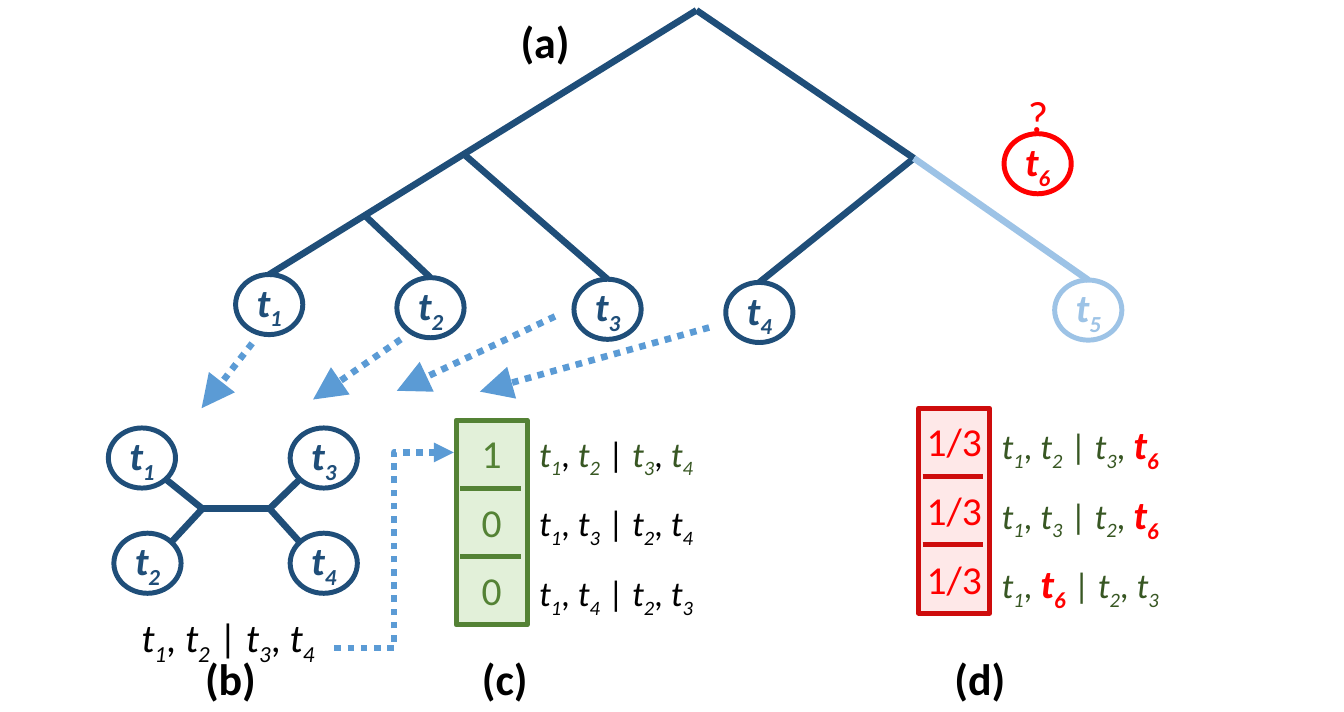
import pptx
import pptx.dml.color
import pptx.enum.dml
import pptx.enum.shapes
import pptx.enum.text
import pptx.util
from lxml import etree

PX = 9144  # 100 px to the inch
NAVY, PALE, BLUE, RED = "1F4E79", "9DC3E6", "5B9BD5", "FF0000"
GREEN, DARK_GREEN, BLACK = "548235", "385723", "000000"
rgb = pptx.dml.color.RGBColor.from_string
A = "{http://schemas.openxmlformats.org/drawingml/2006/main}"
CONNECTOR = pptx.enum.shapes.MSO_CONNECTOR
SHAPE = pptx.enum.shapes.MSO_SHAPE
CENTER = pptx.enum.text.PP_ALIGN.CENTER

prs = pptx.Presentation()
prs.slide_width, prs.slide_height = 1700 * PX, 900 * PX
slide = prs.slides.add_slide(prs.slide_layouts[6])
shapes = slide.shapes


def connect(start, end, colour, width=6, kind=CONNECTOR.STRAIGHT, head=None):
    """Draw a line; a head size makes it a dotted arrow."""
    line = shapes.add_connector(kind, *[v * PX for v in (*start, *end)])
    line.line.color.rgb = rgb(colour)
    line.line.width = pptx.util.Pt(width)
    properties = line._element.spPr
    if head:
        line.line.dash_style = pptx.enum.dml.MSO_LINE.ROUND_DOT
        etree.SubElement(properties.find(A + "ln"), A + "tailEnd",
                         type="triangle", w=head, len=head)
    etree.SubElement(properties, A + "effectLst")
    return line


def write_taxa(frame, text, size, colour, separator, bold=False):
    """Write italic taxa with subscript numbers; t6 stands out in a split."""
    for part in text.split("t")[1:]:
        newcomer = part[0] == "6" and not bold
        for piece in filter(None, ("t", part[0], part[1:])):
            run = frame.paragraphs[0].add_run()
            run.text = piece
            taxon = piece != part[1:]
            font = run.font
            font.name = "Calibri"
            font.italic = taxon
            font.bold = bold or (newcomer and taxon)
            font.size = pptx.util.Pt(36 if newcomer and taxon else size)
            shade = RED if newcomer else colour
            font.color.rgb = rgb(shade if taxon else separator)
            if piece.isdigit():
                run._r.get_or_add_rPr().set("baseline", "-25000")


# Taxa: leaves of the tree, the unplaced t6, then the quartet
taxa = [("t1", 298, 347, NAVY), ("t2", 502, 351, NAVY), ("t3", 726, 353, NAVY),
        ("t4", 918, 357, NAVY), ("t5", 1334, 354, PALE), ("t6", 1270, 169, RED),
        ("t1", 137, 541, NAVY), ("t2", 144, 674, NAVY),
        ("t3", 367, 541, NAVY), ("t4", 367, 674, NAVY)]
nodes = []
for taxon, left, top, colour in taxa:
    node = shapes.add_shape(SHAPE.OVAL, left * PX, top * PX, 85 * PX, 76 * PX)
    node.shadow.inherit = False
    node.fill.background()
    node.line.color.rgb = rgb(colour)
    node.line.width = pptx.util.Pt(4.5)
    node.text_frame.vertical_anchor = pptx.enum.text.MSO_ANCHOR.MIDDLE
    node.text_frame.paragraphs[0].alignment = CENTER
    write_taxa(node.text_frame, taxon, 36, colour, colour, bold=True)
    nodes.append(node)

# Tree branches down to each leaf
root, right_fork = (881, 13), (1156, 200)
connect(root, right_fork, NAVY)
forks = [root, (461, 272), (588, 196), right_fork, right_fork]
for fork, leaf, taxon in zip(forks, nodes, taxa):
    branch = connect(fork, (taxon[1] + 42, taxon[2]), taxon[3])
    branch.end_connect(leaf, 0)

# Quartet branches
left_joint, right_joint = (256, 643), (341, 643)
for start, end in [(left_joint, right_joint),
                   ((210, 606), left_joint), ((217, 685), left_joint),
                   ((379, 606), right_joint), ((379, 685), right_joint)]:
    connect(start, end, NAVY)

# Dotted arrows from the leaves to the quartet
for start, end in [((319, 434), (255, 516)), ((507, 429), (396, 505)),
                   ((702, 400), (502, 494)), ((897, 414), (607, 495))]:
    connect(start, end, BLUE, head="lg")

# Split vectors: three cells, each beside its split
vectors = [
    (577, 531, "E2F0D9", GREEN, GREEN,
     [("1", "t1, t2 | t3, t4", DARK_GREEN, BLACK),
      ("0", "t1, t3 | t2, t4", BLACK, BLACK),
      ("0", "t1, t4 | t2, t3", BLACK, BLACK)]),
    (1162, 516, "FEE8E8", "CE0C0C", RED,
     [("1/3", "t1, t2 | t3, t6", DARK_GREEN, DARK_GREEN),
      ("1/3", "t1, t3 | t2, t6", DARK_GREEN, DARK_GREEN),
      ("1/3", "t1, t6 | t2, t3", DARK_GREEN, DARK_GREEN)])]
labels = []  # text, left, top, width, size, colour, bold
splits = [("t1, t2 | t3, t4", 169, 770, 250, 36, BLACK, BLACK)]
for left, top, fill, edge, ink, rows in vectors:
    column = shapes.add_shape(SHAPE.RECTANGLE, left * PX, top * PX, 90 * PX, 259 * PX)
    column.shadow.inherit = False
    column.fill.solid()
    column.fill.fore_color.rgb = rgb(fill)
    column.line.color.rgb = rgb(edge)
    column.line.width = pptx.util.Pt(4.5)
    for row, (value, split, colour, separator) in enumerate(rows):
        if row:
            y = top + 86 * row
            connect((left + 5, y), (left + 82, y), edge, width=4.5)
        labels.append((value, left, top + 6 + 87 * row, 90, 36, ink, False))
        splits.append((split, left + 95, top + 10 + 88 * row, 225, 32, colour, separator))
connect((423, 819), (574, 572), BLUE, kind=CONNECTOR.ELBOW, head="med")

for split, left, top, width, size, colour, separator in splits:
    box = shapes.add_textbox(left * PX, top * PX, width * PX, 68 * PX)
    box.text_frame.word_wrap = False
    write_taxa(box.text_frame, split, size, colour, separator)

# Cell values, panel letters and, last, the question mark over t6
labels += [("(a)", 648, 13, 83, 40, BLACK, True), ("(b)", 249, 819, 85, 40, BLACK, True),
           ("(c)", 599, 819, 79, 40, BLACK, True), ("(d)", 1197, 819, 85, 40, BLACK, True),
           ("?", 1290, 107, 46, 40, RED, False)]
for text, left, top, width, size, colour, bold in labels:
    box = shapes.add_textbox(left * PX, top * PX, width * PX, 74 * PX)
    box.text_frame.word_wrap = False
    paragraph = box.text_frame.paragraphs[0]
    paragraph.text = text
    paragraph.alignment = CENTER
    font = paragraph.runs[0].font
    font.name, font.size, font.bold = "Calibri", pptx.util.Pt(size), bold
    font.color.rgb = rgb(colour)
shapes.add_group_shape([nodes[5], box])

prs.save("out.pptx")
